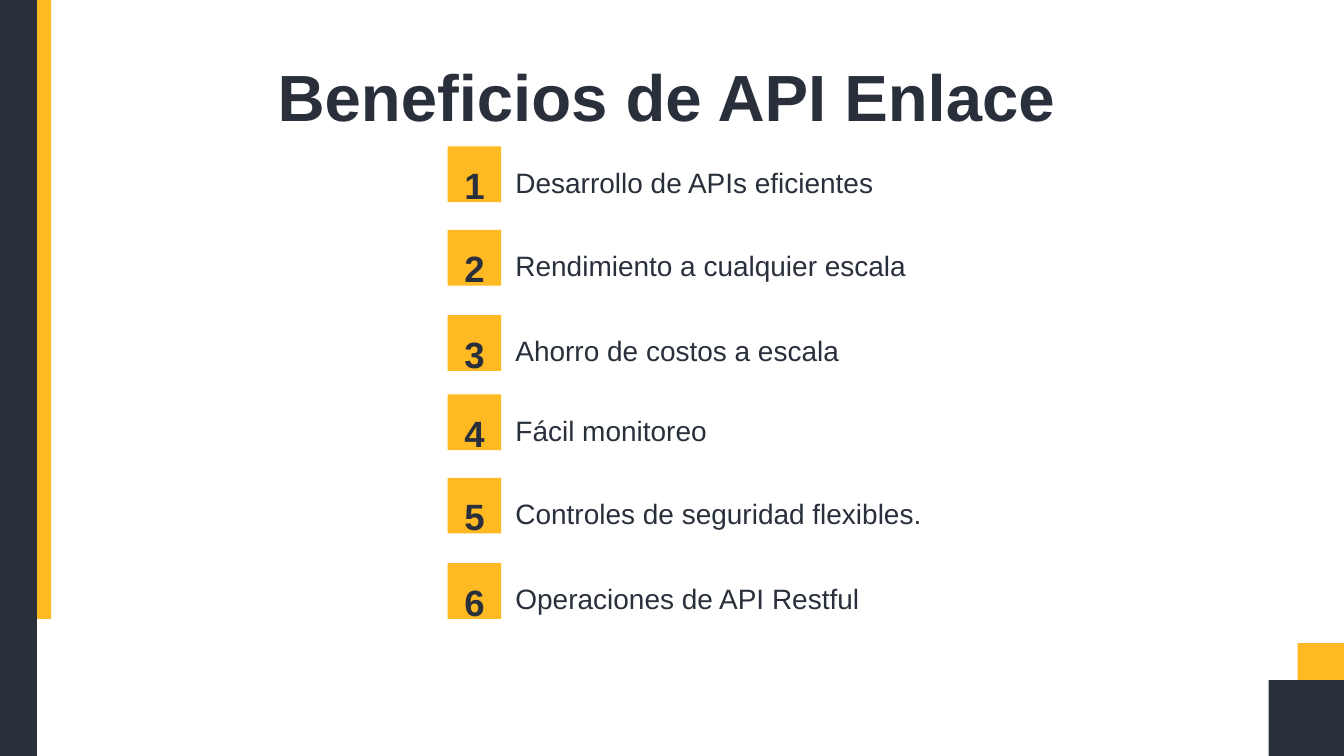
from pptx import Presentation
from pptx.dml.color import RGBColor
from pptx.enum.shapes import MSO_SHAPE
from pptx.enum.text import MSO_AUTO_SIZE, PP_ALIGN
from pptx.util import Inches, Pt

COLORS = {"dark": "29303C", "yellow": "FFB923", "white": "FFFFFF"}
FORMATS = {
    "title": {"size": Pt(70), "bold": True},
    "number": {"size": Pt(39.2), "bold": True},
    "benefit": {"size": Pt(30), "bold": False},
}

presentation = Presentation()
presentation.slide_width = Inches(20)
presentation.slide_height = Inches(11.25)
slide = presentation.slides.add_slide(presentation.slide_layouts[6])
slide.background.fill.solid()
slide.background.fill.fore_color.rgb = RGBColor.from_string(COLORS["white"])


def add_block(left, top, width, height, color):
    shape = slide.shapes.add_shape(
        MSO_SHAPE.RECTANGLE, Inches(left), Inches(top), Inches(width), Inches(height)
    )
    shape.shadow.inherit = False
    shape.fill.solid()
    shape.fill.fore_color.rgb = RGBColor.from_string(COLORS[color])
    shape.line.fill.background()


def add_text(text, left, top, width, height, style, align=PP_ALIGN.LEFT):
    box = slide.shapes.add_textbox(Inches(left), Inches(top), Inches(width), Inches(height))
    frame = box.text_frame
    frame.word_wrap = True
    frame.auto_size = MSO_AUTO_SIZE.SHAPE_TO_FIT_TEXT
    for side in ("left", "top", "right", "bottom"):
        setattr(frame, f"margin_{side}", 0)
    paragraph = frame.paragraphs[0]
    paragraph.alignment = align
    paragraph.line_spacing = 1.3
    run = paragraph.add_run()
    run.text = text
    run.font.name = "Arial"
    run.font.color.rgb = RGBColor.from_string(COLORS["dark"])
    for name, value in FORMATS[style].items():
        setattr(run.font, name, value)


for block in (
    (0.34, 0, 0.42, 9.21, "yellow"),
    (0, 0, 0.55, 11.25, "dark"),
    (19.31, 9.57, 1.17, 1.12, "yellow"),
    (18.88, 10.12, 1.61, 1.41, "dark"),
):
    add_block(*block)

add_text("Beneficios de API Enlace", 4.13, 0.48, 13.44, 1.18, "title")

benefits = [
    ("Desarrollo de APIs eficientes", 6.17),
    ("Rendimiento a cualquier escala", 7.04),
    ("Ahorro de costos a escala", 8.93),
    ("Fácil monitoreo", 3.41),
    ("Controles de seguridad flexibles.", 8.93),
    ("Operaciones de API Restful", 5.75),
]
trio_tops = [2.18, 3.42, 4.69]
trio_step = 3.69

for index, (benefit, width) in enumerate(benefits):
    trio, position = divmod(index, 3)
    top = trio_tops[position] + trio * trio_step
    add_block(6.66, top, 0.8, 0.83, "yellow")
    add_text(str(index + 1), 6.82, top + 0.05, 0.48, 0.69, "number", PP_ALIGN.CENTER)
    add_text(benefit, 7.67, top + 0.13, width, 0.53, "benefit")

presentation.save("out.pptx")
